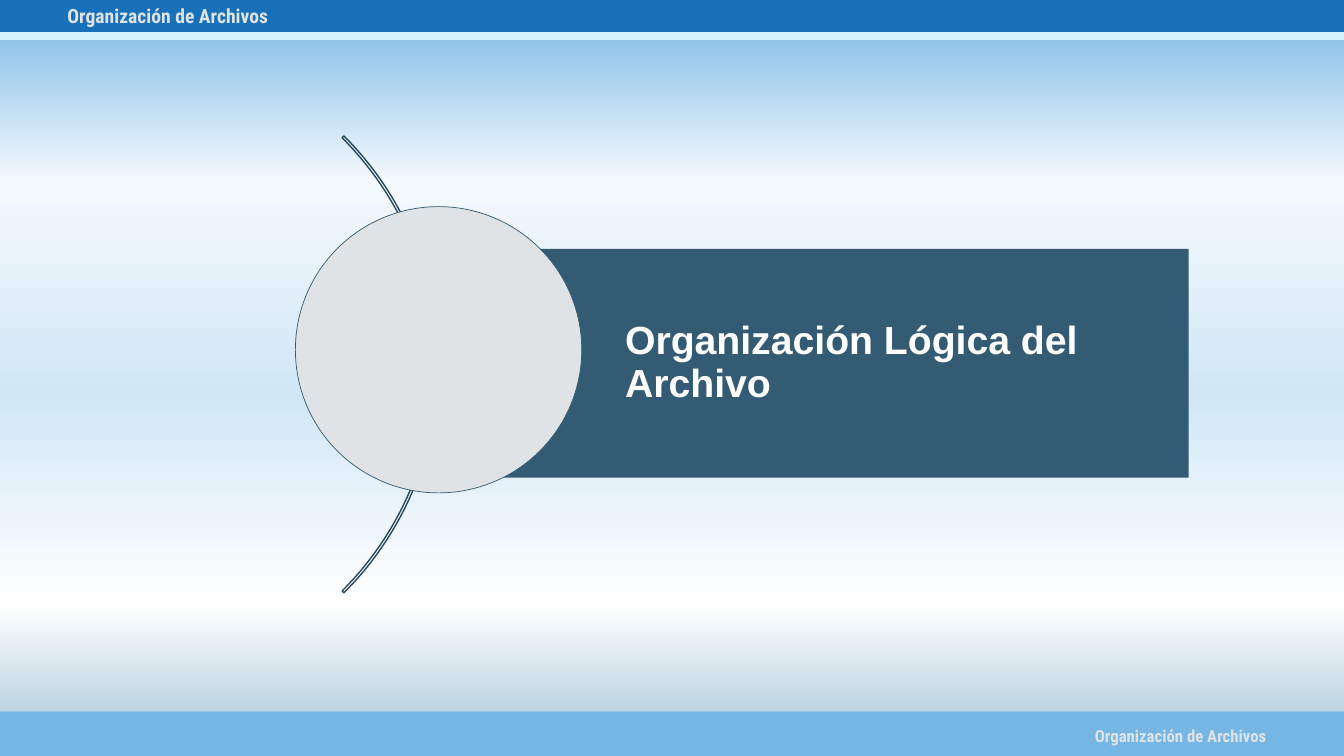
from lxml import etree
from pptx import Presentation
from pptx.dml.color import RGBColor
from pptx.enum.shapes import MSO_CONNECTOR, MSO_SHAPE
from pptx.enum.text import MSO_ANCHOR, PP_ALIGN
from pptx.oxml.ns import qn
from pptx.util import Inches, Pt

WIDTH, HEIGHT = 13.33, 7.5
SKY = RGBColor(0x75, 0xB6, 0xE5)
BLUE = RGBColor(0x18, 0x70, 0xB8)
ICE = RGBColor(0xD2, 0xEF, 0xFA)
GREY = RGBColor(0xDF, 0xE3, 0xE5)
SLATE = RGBColor(0x33, 0x5B, 0x74)
DARK_SLATE = RGBColor(0x29, 0x49, 0x5D)
WHITE = RGBColor(0xFF, 0xFF, 0xFF)
BACKGROUND_STOPS = [
    (0, SKY),
    (24, RGBColor(0xF4, 0xF9, 0xFD)),
    (52, RGBColor(0xD1, 0xE7, 0xF6)),
    (80, WHITE),
    (100, RGBColor(0xA0, 0xC1, 0xD5)),
]
COURSE = "Organización de Archivos"
TOPIC = "Organización Lógica del Archivo"


def paint_background(slide, stops):
    """Fill the slide background with a top-to-bottom gradient."""
    fill = slide.background.fill
    fill.gradient()
    fill.gradient_angle = 270
    stop_list = next(slide.element.iter(qn("a:gsLst")))
    for stop in list(stop_list):
        stop_list.remove(stop)
    for percent, color in stops:
        stop = etree.SubElement(stop_list, qn("a:gs"), pos=str(percent * 1000))
        etree.SubElement(stop, qn("a:srgbClr"), val=str(color))


def add_shape(slide, kind, box, fill=None, line=None, line_width=1):
    """Add a preset shape without shadow; box is left, top, width, height."""
    shape = slide.shapes.add_shape(kind, *map(Inches, box))
    shape.shadow.inherit = False
    if fill is None:
        shape.fill.background()
    else:
        shape.fill.solid()
        shape.fill.fore_color.rgb = fill
    if line is None:
        shape.line.fill.background()
    else:
        shape.line.color.rgb = line
        shape.line.width = Pt(line_width)
    return shape


def add_rule(slide, y, color, width):
    """Draw a horizontal line across the whole slide."""
    rule = slide.shapes.add_connector(
        MSO_CONNECTOR.STRAIGHT, 0, Inches(y), Inches(WIDTH), Inches(y))
    rule.line.color.rgb = color
    rule.line.width = Pt(width)
    etree.SubElement(rule.element.spPr, qn("a:effectLst"))


def write(shape, text, size, font, color, align):
    """Write one bold, wrapped paragraph into a shape."""
    shape.text_frame.word_wrap = True
    paragraph = shape.text_frame.paragraphs[0]
    paragraph.alignment = align
    run = paragraph.add_run()
    run.text = text
    run.font.size = Pt(size)
    run.font.name = font
    run.font.bold = True
    run.font.color.rgb = color
    return paragraph


def add_course_label(slide, box, size):
    """Add the course name as a centred label."""
    label = slide.shapes.add_textbox(*map(Inches, box))
    write(label, COURSE, size, "Roboto Condensed", GREY, PP_ALIGN.CENTER)


def add_topic_panel(slide):
    """Add the dark panel that carries the topic title."""
    panel = add_shape(slide, MSO_SHAPE.RECTANGLE, (4.31, 2.47, 7.48, 2.27), SLATE)
    frame = panel.text_frame
    frame.margin_left = Inches(1.89)
    frame.margin_top = frame.margin_right = frame.margin_bottom = Inches(0.08)
    frame.vertical_anchor = MSO_ANCHOR.MIDDLE
    title = write(panel, TOPIC, 28, "Arial", WHITE, PP_ALIGN.LEFT)
    title.line_spacing = 0.9


def main():
    """Build the section slide and save it."""
    prs = Presentation()
    prs.slide_width, prs.slide_height = Inches(WIDTH), Inches(HEIGHT)
    slide = prs.slides.add_slide(prs.slide_layouts[6])
    paint_background(slide, BACKGROUND_STOPS)

    add_shape(slide, MSO_SHAPE.RECTANGLE, (0, 7.06, WIDTH, 0.44), SKY)
    add_course_label(slide, (10.37, 7.15, 2.68, 0.3), 12)
    add_shape(slide, MSO_SHAPE.RECTANGLE, (0, 0, WIDTH, 0.36), BLUE)
    add_rule(slide, 0.36, ICE, 6)
    add_course_label(slide, (0.21, -0.01, 2.91, 0.34), 14)

    arc = add_shape(slide, MSO_SHAPE.BLOCK_ARC, (-2.06, 0.41, 6.41, 6.41),
                    line=DARK_SLATE)
    for index, value in enumerate((189, 27, 0.004)):
        arc.adjustments[index] = value
    add_topic_panel(slide)
    add_shape(slide, MSO_SHAPE.OVAL, (2.93, 2.05, 2.84, 2.84), GREY, SLATE, 0.5)

    prs.save("out.pptx")


main()
